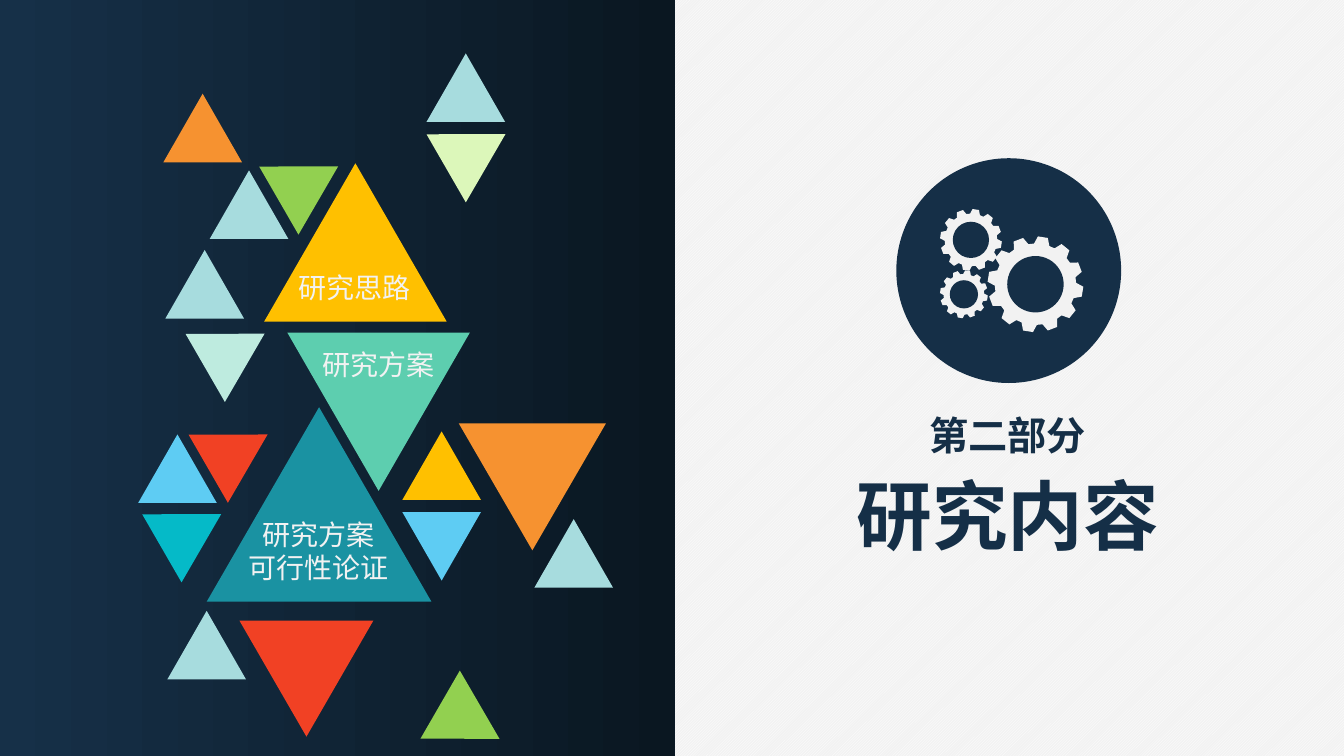
"""Build a section slide: a triangle mosaic with topics beside a gear badge and title."""
import math
from lxml import etree
from pptx import Presentation
from pptx.dml.color import RGBColor
from pptx.enum.dml import MSO_PATTERN
from pptx.enum.shapes import MSO_SHAPE
from pptx.enum.text import MSO_ANCHOR, MSO_AUTO_SIZE, PP_ALIGN
from pptx.oxml.ns import qn
from pptx.util import Pt

PX = 9144
FONT = "Noto Sans CJK SC"
RECT, OVAL, TRIANGLE = MSO_SHAPE.RECTANGLE, MSO_SHAPE.OVAL, MSO_SHAPE.ISOSCELES_TRIANGLE
HATCH = MSO_PATTERN.LIGHT_UPWARD_DIAGONAL
MIDDLE, CENTER, NO_FIT = MSO_ANCHOR.MIDDLE, PP_ALIGN.CENTER, MSO_AUTO_SIZE.NONE
COLORS = {
    "white": "FFFFFF", "paper": "F2F2F2", "navy": "152F47",
    "panel_left": "163048", "panel_right": "0A1721",
    "mist": "A7DCDE", "mint": "BEEBDF", "jade": "5DCEAF", "teal": "1A92A2",
    "sky": "5ECCF3", "cyan": "05BAC8", "orange": "F69230", "amber": "FFC000",
    "green": "92D050", "lime": "DCF7BA", "red": "F14124",
}
RGB = {name: RGBColor.from_string(value) for name, value in COLORS.items()}


def paint(sp, color):
    sp.shadow.inherit = False
    sp.fill.solid()
    sp.fill.fore_color.rgb = RGB[color]
    sp.line.fill.background()


def write(sp, box, lines, size, color, bold=False):
    sp.left, sp.top, sp.width, sp.height = (v * PX for v in box)
    tf = sp.text_frame
    tf.word_wrap = False
    tf.auto_size = NO_FIT
    tf.vertical_anchor = MIDDLE
    for i, line in enumerate(lines):
        p = tf.add_paragraph() if i else tf.paragraphs[0]
        p.alignment = CENTER
        if len(lines) > 1:
            p.line_spacing = Pt(size * 1.2)
        r = p.add_run()
        r.text = line
        r.font.name = FONT
        r.font.size = Pt(size)
        r.font.bold = bold
        r.font.color.rgb = RGB[color]
        etree.SubElement(r.font._element, qn("a:ea"), typeface=FONT)


prs = Presentation()
prs.slide_width, prs.slide_height = 1333 * PX, 750 * PX
s = prs.slides.add_slide(prs.slide_layouts[5])

bg = s.background.fill
bg.patterned()
bg.pattern = HATCH
bg.fore_color.rgb = RGB["white"]
bg.back_color.rgb = RGB["paper"]

panel = s.shapes.add_shape(RECT, 0, 0, 669 * PX, 750 * PX)
panel.shadow.inherit = False
panel.line.fill.background()
panel.fill.gradient()
panel.fill.gradient_angle = 0
for stop, color in zip(panel.fill.gradient_stops, ("panel_left", "panel_right")):
    stop.color.rgb = RGB[color]

write(s.shapes.title, (838, 460, 323, 101), ["研究内容"], 54, "navy", True)
write(s.shapes.add_textbox(0, 0, 0, 0), (911, 403, 177, 57), ["第二部分"], 28, "navy", True)

badge = s.shapes.add_group_shape()
disc = badge.shapes.add_shape(OVAL, 889 * PX, 157 * PX, 223 * PX, 223 * PX)
paint(disc, "navy")

TEETH, PHASE = 12, 9
TOOTH = ((-11, 0.84), (-6, 0.99), (6, 0.99), (11, 0.84))
for cx, cy, radius, bore in ((1027, 282, 48, 28), (963, 238, 31, 18), (956, 292, 24, 14)):
    rim = []
    for i in range(TEETH):
        for offset, reach in TOOTH:
            a = math.radians(PHASE + i * 360 / TEETH + offset)
            rim.append(((cx + radius * reach * math.cos(a)) * PX,
                        (cy + radius * reach * math.sin(a)) * PX))
    fb = badge.shapes.build_freeform(*rim[0])
    fb.add_line_segments(rim[1:], close=True)
    paint(fb.convert_to_shape(), "paper")
    hole = badge.shapes.add_shape(
        OVAL, (cx - bore) * PX, (cy - bore) * PX, 2 * bore * PX, 2 * bore * PX)
    paint(hole, "navy")

SMALL = 78
TRIANGLES = (
    (164, 248, SMALL, 0, "mist"), (423, 53, SMALL, 0, "mist"),
    (194, 314, SMALL, 60, "mint"), (285, 330, 181, 180, "jade"),
    (205, 404, 223, 0, "teal"), (166, 606, SMALL, 0, "mist"),
    (137, 431, SMALL, 0, "sky"), (162, 93, SMALL, 0, "orange"),
    (208, 169, SMALL, 0, "mist"), (267, 148, SMALL, 60, "green"),
    (433, 116, SMALL, 60, "lime"), (151, 493, SMALL, 60, "cyan"),
    (455, 420, 146, 180, "orange"), (399, 428, SMALL, 0, "amber"),
    (399, 508, SMALL, 180, "sky"), (197, 414, SMALL, 60, "red"),
    (254, 587, 133, 60, "red"), (530, 515, SMALL, 0, "mist"),
    (262, 162, 181, 0, "amber"), (427, 682, SMALL, 120, "green"),
)
for x, y, side, turn, color in TRIANGLES:
    height = round(side * math.sqrt(3) / 2)
    sp = s.shapes.add_shape(TRIANGLE, x * PX, y * PX, side * PX, height * PX)
    sp.rotation = turn
    paint(sp, color)

TOPICS = (
    ((286, 263, 132, 44), ["研究思路"]),
    ((309, 339, 132, 44), ["研究方案"]),
    ((236, 508, 160, 77), ["研究方案", "可行性论证"]),
)
for box, lines in TOPICS:
    write(s.shapes.add_textbox(0, 0, 0, 0), box, lines, 20, "paper")

prs.save("out.pptx")
